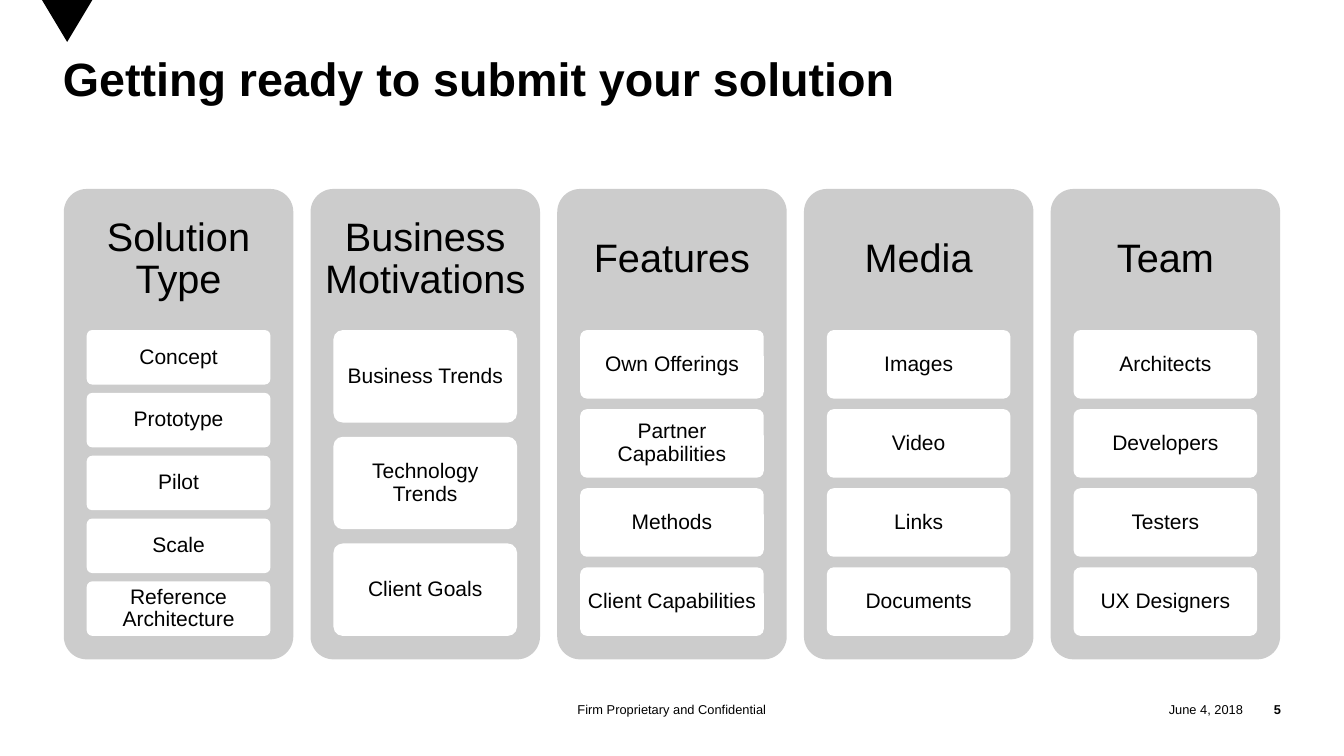
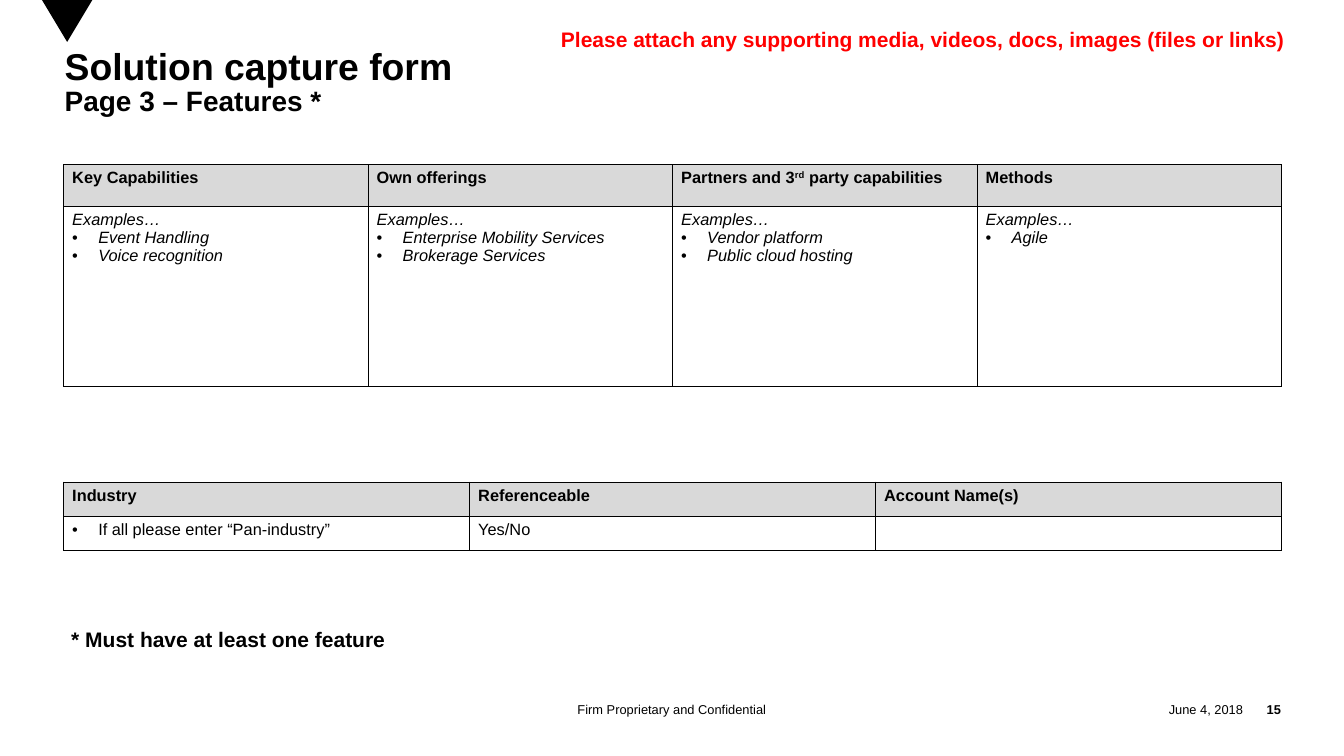
import dataclasses

import lxml.etree
import pptx
import pptx.dml.color
import pptx.enum.shapes
import pptx.enum.text
import pptx.oxml.ns
import pptx.util

ALIGN = pptx.enum.text.PP_ALIGN
ANCHOR = pptx.enum.text.MSO_ANCHOR
RGB = pptx.dml.color.RGBColor


@dataclasses.dataclass(frozen=True)
class Theme:
    font: str = "Arial"
    ink: str = "000000"
    paper: str = "FFFFFF"
    panel: str = "CCCCCC"
    header: str = "D9D9D9"
    alert: str = "FF0000"
    title: int = 40
    form_title: int = 32
    subtitle: int = 24
    heading: int = 34
    body: int = 18
    cell: int = 14
    footer: int = 11


THEME = Theme()
GRID_COLUMNS, GRID_ROWS = 160, 90
UNIT = pptx.util.Inches(16) // GRID_COLUMNS


@dataclasses.dataclass(frozen=True)
class Area:
    left: float
    top: float
    width: float
    height: float

    def lengths(self) -> tuple[int, ...]:
        return tuple(round(value * UNIT) for value in dataclasses.astuple(self))


@dataclasses.dataclass(frozen=True)
class Run:
    text: str
    size: int = THEME.cell
    bold: bool = False
    italic: bool = False
    color: str = THEME.ink
    baseline: int = 0
    new_line: bool = False


@dataclasses.dataclass(frozen=True)
class Line:
    runs: tuple[Run, ...]
    bullet: bool = False


@dataclasses.dataclass(frozen=True)
class Topic:
    heading: str
    cards: tuple[str, ...]


@dataclasses.dataclass(frozen=True)
class Form:
    area: Area
    header_height: float
    headings: tuple[tuple[Run, ...], ...]
    answers: tuple[tuple[Line, ...], ...]


def label(text: str) -> tuple[Run, ...]:
    return (Run(text, bold=True),)


def examples(*names: str) -> tuple[Line, ...]:
    items = tuple(Line((Run(name, italic=True),), bullet=True) for name in names)
    return (Line((Run("Examples…", italic=True),)),) + items


TITLE_AREA = Area(7.5, 7, 145, 15.5)
FORM_TITLE_AREA = Area(7.7, 6, 145, 15.5)
TOPICS_AREA = Area(7.6, 22.5, 144.8, 56)
TOPIC_GAP = 0.075
CARD_GAP = 2 / 13

TOPICS = (
    Topic("Solution Type", ("Concept", "Prototype", "Pilot", "Scale", "Reference Architecture")),
    Topic("Business Motivations", ("Business Trends", "Technology Trends", "Client Goals")),
    Topic("Features", ("Own Offerings", "Partner Capabilities", "Methods", "Client Capabilities")),
    Topic("Media", ("Images", "Video", "Links", "Documents")),
    Topic("Team", ("Architects", "Developers", "Testers", "UX Designers")),
)

FEATURES = Form(
    Area(7.6, 19.6, 145, 26.4),
    4.94,
    (
        label("Key Capabilities"),
        label("Own offerings"),
        (
            Run("Partners and 3", bold=True),
            Run("rd", bold=True, baseline=30),
            Run(" party capabilities", bold=True),
        ),
        label("Methods"),
    ),
    (
        examples("Event Handling", "Voice recognition"),
        examples("Enterprise Mobility Services", "Brokerage Services"),
        examples("Vendor platform", "Public cloud hosting"),
        examples("Agile"),
    ),
)

REFERENCES = Form(
    Area(7.6, 57.4, 145, 8.1),
    4.05,
    (label("Industry"), label("Referenceable"), label("Account Name(s)")),
    (
        (Line((Run("If all please enter “Pan-industry”"),), bullet=True),),
        (Line((Run("Yes/No"),)),),
        (),
    ),
)


def add_bullet(para) -> None:
    properties = para._p.get_or_add_pPr()
    indent = pptx.util.Inches(0.31)
    properties.set("marL", str(indent))
    properties.set("indent", str(-indent))
    for tag, name, value in (("a:buFont", "typeface", THEME.font), ("a:buChar", "char", "•")):
        lxml.etree.SubElement(properties, pptx.oxml.ns.qn(tag)).set(name, value)


def write_lines(frame, lines: tuple[Line, ...], align=ALIGN.LEFT, spacing: float = 1.0) -> None:
    for index, line in enumerate(lines):
        para = frame.add_paragraph() if index else frame.paragraphs[0]
        if line.bullet:
            add_bullet(para)
        para.alignment = align
        if spacing != 1:
            para.line_spacing = spacing
        for run in line.runs:
            if run.new_line:
                para.add_line_break()
            span = para.add_run()
            span.text = run.text
            span.font.name = THEME.font
            span.font.size = pptx.util.Pt(run.size)
            span.font.bold = run.bold
            span.font.italic = run.italic
            span.font.color.rgb = RGB.from_string(run.color)
            if run.baseline:
                span._r.get_or_add_rPr().set("baseline", str(run.baseline * 1000))


def set_frame(frame, horizontal: float, vertical: float, anchor, wrap: bool = True) -> None:
    frame.margin_left = frame.margin_right = pptx.util.Inches(horizontal)
    frame.margin_top = frame.margin_bottom = pptx.util.Inches(vertical)
    frame.vertical_anchor = anchor
    frame.word_wrap = wrap


def add_text(page, area: Area, *runs: Run, align=ALIGN.LEFT, anchor=ANCHOR.TOP,
             spacing: float = 1.0, inset: tuple[float, float] = (0, 0), wrap: bool = True) -> None:
    box = page.shapes.add_textbox(*area.lengths())
    set_frame(box.text_frame, *inset, anchor, wrap)
    write_lines(box.text_frame, (Line(runs),), align, spacing)


def paint(shape, color: str) -> None:
    shape.shadow.inherit = False
    shape.fill.solid()
    shape.fill.fore_color.rgb = RGB.from_string(color)
    shape.line.fill.background()


def add_rounded(page, area: Area, color: str):
    shape = page.shapes.add_shape(pptx.enum.shapes.MSO_SHAPE.ROUNDED_RECTANGLE, *area.lengths())
    shape.adjustments[0] = 0.1
    paint(shape, color)
    return shape


def add_page(deck, number: int):
    page = deck.slides.add_slide(deck.slide_layouts[6])
    outline = page.shapes.build_freeform(4.9, 0, scale=UNIT)
    outline.add_line_segments([(8, 5.4), (11.1, 0)], close=True)
    paint(outline.convert_to_shape(), THEME.ink)
    for left, width, align, text, bold in (
        (52.5, 55, ALIGN.CENTER, "Firm Proprietary and Confidential", False),
        (130.1, 17.9, ALIGN.RIGHT, "June 4, 2018", False),
        (148, 4.5, ALIGN.RIGHT, str(number), True),
    ):
        add_text(page, Area(left, 82.9, width, 3), Run(text, THEME.footer, bold),
                 align=align, anchor=ANCHOR.MIDDLE)
    return page


def add_topic(page, topic: Topic, area: Area) -> None:
    add_rounded(page, area, THEME.panel)
    heading_area = dataclasses.replace(area, height=area.height * 0.3)
    add_text(page, heading_area, Run(topic.heading, THEME.heading), align=ALIGN.CENTER,
             anchor=ANCHOR.MIDDLE, spacing=0.9, inset=(0.14, 0.14))
    count = len(topic.cards)
    height = area.height * 0.65 / (count + (count - 1) * CARD_GAP)
    for index, text in enumerate(topic.cards):
        top = area.top + area.height * 0.3 + index * height * (1 + CARD_GAP)
        card_area = Area(area.left + area.width * 0.1, top, area.width * 0.8, height)
        frame = add_rounded(page, card_area, THEME.paper).text_frame
        set_frame(frame, 0.05, 0.04, ANCHOR.MIDDLE)
        write_lines(frame, (Line((Run(text, THEME.body),)),), ALIGN.CENTER, 0.9)


def add_borders(cell) -> None:
    properties = cell._tc.get_or_add_tcPr()
    for side in ("L", "R", "T", "B"):
        border = lxml.etree.SubElement(properties, pptx.oxml.ns.qn(f"a:ln{side}"))
        border.set("w", str(pptx.util.Pt(1)))
        fill = lxml.etree.SubElement(border, pptx.oxml.ns.qn("a:solidFill"))
        lxml.etree.SubElement(fill, pptx.oxml.ns.qn("a:srgbClr")).set("val", THEME.ink)


def add_form(page, form: Form) -> None:
    table = page.shapes.add_table(2, len(form.headings), *form.area.lengths()).table
    table.first_row = table.horz_banding = False
    table.rows[0].height = round(form.header_height * UNIT)
    table.rows[1].height = round((form.area.height - form.header_height) * UNIT)
    for column, (heading, answer) in enumerate(zip(form.headings, form.answers)):
        for row, lines in enumerate(((Line(heading),), answer)):
            cell = table.cell(row, column)
            add_borders(cell)
            if row == 0:
                cell.fill.solid()
                cell.fill.fore_color.rgb = RGB.from_string(THEME.header)
            else:
                cell.fill.background()
            write_lines(cell.text_frame, lines)


def add_topics_page(deck) -> None:
    page = add_page(deck, 5)
    add_text(page, TITLE_AREA, Run("Getting ready to submit your solution", THEME.title, True),
             spacing=0.85)
    count = len(TOPICS)
    width = TOPICS_AREA.width / (count + (count - 1) * TOPIC_GAP)
    for index, topic in enumerate(TOPICS):
        left = TOPICS_AREA.left + index * width * (1 + TOPIC_GAP)
        add_topic(page, topic, dataclasses.replace(TOPICS_AREA, left=left, width=width))


def add_form_page(deck) -> None:
    page = add_page(deck, 15)
    add_text(page, FORM_TITLE_AREA, Run("Solution capture form", THEME.form_title, True),
             Run("Page 3 – Features *", THEME.subtitle, True, new_line=True), spacing=0.85)
    for form in (FEATURES, REFERENCES):
        add_form(page, form)
    for area, text, color in (
        (Area(65.8, 2.7, 89, 4),
         "Please attach any supporting media, videos, docs, images (files or links)", THEME.alert),
        (Area(7.5, 74.1, 39.7, 4), "* Must have at least one feature", THEME.ink),
    ):
        add_text(page, area, Run(text, THEME.body, True, color=color),
                 inset=(0.1, 0.05), wrap=False)


def main() -> None:
    deck = pptx.Presentation()
    deck.slide_width = GRID_COLUMNS * UNIT
    deck.slide_height = GRID_ROWS * UNIT
    add_topics_page(deck)
    add_form_page(deck)
    deck.save("out.pptx")


if __name__ == "__main__":
    main()
